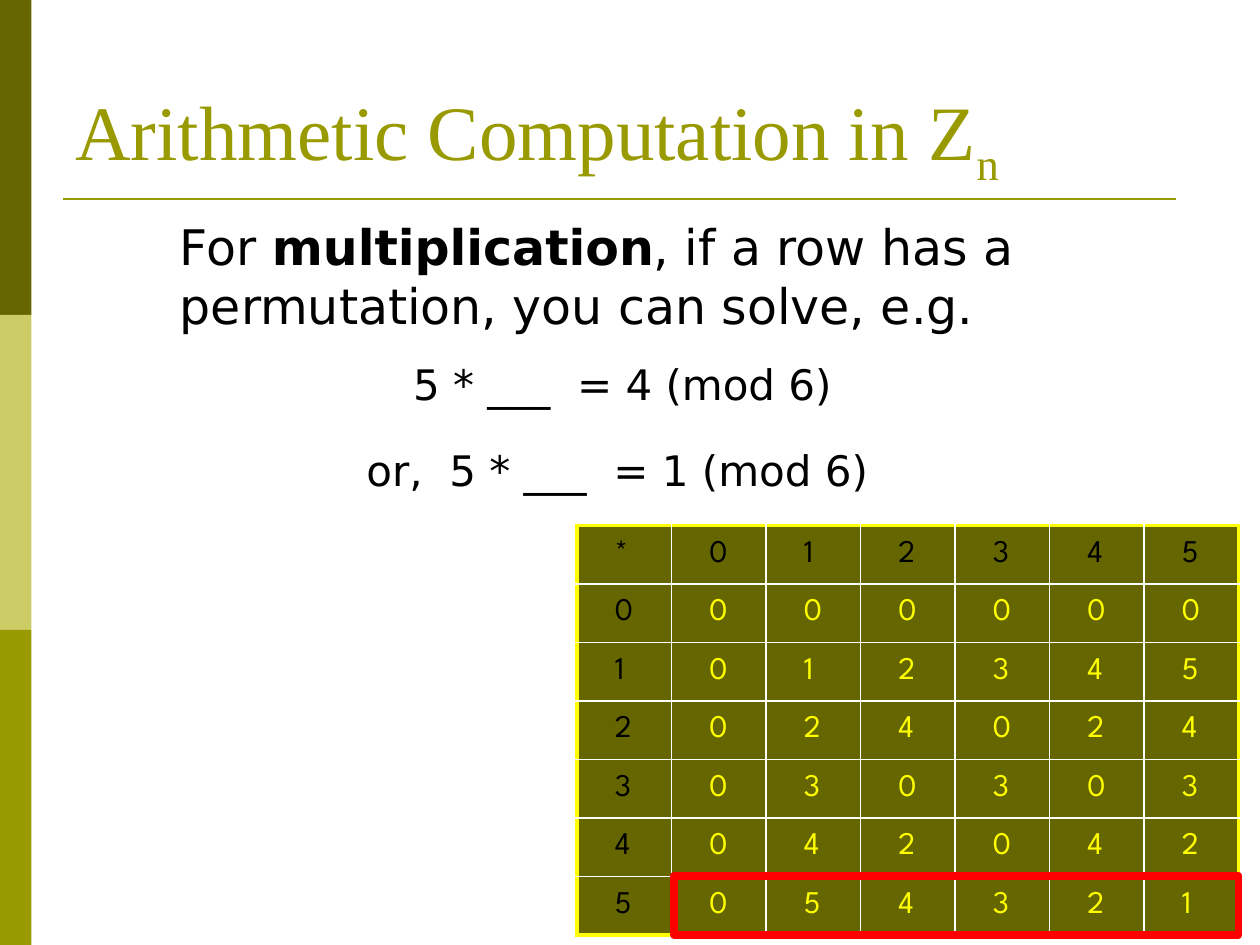
from lxml import etree
from pptx import Presentation
from pptx.dml.color import RGBColor
from pptx.enum.shapes import MSO_CONNECTOR, MSO_SHAPE
from pptx.enum.text import MSO_ANCHOR, MSO_AUTO_SIZE
from pptx.oxml.ns import qn
from pptx.util import Inches, Pt

RECTANGLE = MSO_SHAPE.RECTANGLE
STRAIGHT = MSO_CONNECTOR.STRAIGHT
MIDDLE, BOTTOM = MSO_ANCHOR.MIDDLE, MSO_ANCHOR.BOTTOM
GROW = MSO_AUTO_SIZE.SHAPE_TO_FIT_TEXT

DARK_OLIVE = RGBColor(0x66, 0x66, 0x00)
PALE_OLIVE = RGBColor(0xCC, 0xCC, 0x66)
OLIVE = RGBColor(0x99, 0x99, 0x00)
BLACK = RGBColor(0x00, 0x00, 0x00)
WHITE = RGBColor(0xFF, 0xFF, 0xFF)
YELLOW = RGBColor(0xFF, 0xFF, 0x00)
RED = RGBColor(0xFF, 0x00, 0x00)

MODULUS = 6


def set_font(paragraph, name, size, color):
    paragraph.font.name = name
    paragraph.font.size = Pt(size)
    paragraph.font.color.rgb = color


def add_space_before(paragraph, percent=20):
    properties = paragraph._p.get_or_add_pPr()
    spacing = etree.Element(qn("a:spcBef"))
    etree.SubElement(spacing, qn("a:spcPct"), val=str(percent * 1000))
    properties.insert(0, spacing)


def add_side_bands(slide, left, top, width, height):
    colors = (DARK_OLIVE, PALE_OLIVE, OLIVE)
    band_height = height / len(colors)
    for index, color in enumerate(colors):
        band = slide.shapes.add_shape(
            RECTANGLE, Inches(left), Inches(top + index * band_height),
            Inches(width), Inches(band_height))
        band.shadow.inherit = False
        band.fill.solid()
        band.fill.fore_color.rgb = color
        band.line.fill.background()


def add_title_rule(slide, left, top, width):
    rule = slide.shapes.add_connector(
        STRAIGHT, Inches(left), Inches(top), Inches(left + width), Inches(top))
    rule.line.color.rgb = OLIVE
    rule.line.width = Pt(1.5)
    etree.SubElement(rule._element.spPr, qn("a:effectLst"))


def add_title(slide, left, top, width, height):
    title = slide.shapes.add_textbox(
        Inches(left), Inches(top), Inches(width), Inches(height)).text_frame
    title.word_wrap = True
    title.vertical_anchor = BOTTOM
    heading = title.paragraphs[0]
    set_font(heading, "Times New Roman", 44, OLIVE)
    heading.add_run().text = "Arithmetic Computation in Z"
    subscript = heading.add_run()
    subscript.text = "n"
    subscript.font._element.set("baseline", "-25000")


def add_statement(slide, left, top, width, height, parts, size, wrap):
    statement = slide.shapes.add_textbox(
        Inches(left), Inches(top), Inches(width), Inches(height)).text_frame
    statement.word_wrap = wrap
    statement.auto_size = GROW
    paragraph = statement.paragraphs[0]
    set_font(paragraph, "DejaVu Sans", size, BLACK)
    add_space_before(paragraph)
    for text, bold in parts:
        run = paragraph.add_run()
        run.text = text
        if bold:
            run.font.bold = True


def set_border(cell, side, color, width):
    line = etree.SubElement(
        cell._tc.get_or_add_tcPr(), qn(f"a:ln{side}"), w=str(Pt(width)))
    fill = etree.SubElement(line, qn("a:solidFill"))
    etree.SubElement(fill, qn("a:srgbClr"), val=str(color))


def style_cell(cell, row, column, last):
    cell.margin_left = cell.margin_right = Inches(0.3)
    cell.margin_top = cell.margin_bottom = Inches(0.05)
    cell.vertical_anchor = MIDDLE
    outer_sides = {"L": column == 0, "R": column == last,
                   "T": row == 0, "B": row == last}
    for side, is_outer in outer_sides.items():
        set_border(cell, side, *((YELLOW, 2.25) if is_outer else (WHITE, 1)))
    cell.fill.solid()
    cell.fill.fore_color.rgb = DARK_OLIVE
    paragraph = cell.text_frame.paragraphs[0]
    is_header = row == 0 or column == 0
    set_font(paragraph, "League Spartan", 18, BLACK if is_header else YELLOW)
    add_space_before(paragraph)


def add_multiplication_table(slide, left, top, width, height):
    residues = range(MODULUS)
    rows = [["*", *residues]]
    rows += [[a, *(a * b % MODULUS for b in residues)] for a in residues]
    count = len(rows)
    table = slide.shapes.add_table(
        count, count, Inches(left), Inches(top), Inches(width), Inches(height)).table
    table.first_row = False
    table.horz_banding = False
    for column in table.columns:
        column.width = Inches(width / count)
    for row_index, values in enumerate(rows):
        table.rows[row_index].height = Inches(height / count)
        for column_index, value in enumerate(values):
            cell = table.cell(row_index, column_index)
            cell.text = str(value)
            style_cell(cell, row_index, column_index, MODULUS)


def add_row_highlight(slide, left, top, width, height):
    highlight = slide.shapes.add_shape(
        RECTANGLE, Inches(left), Inches(top), Inches(width), Inches(height))
    highlight.shadow.inherit = False
    highlight.fill.background()
    highlight.line.color.rgb = RED
    highlight.line.width = Pt(4.5)


def main():
    presentation = Presentation()
    presentation.slide_width = Inches(10)
    presentation.slide_height = Inches(7.5)
    slide = presentation.slides.add_slide(presentation.slide_layouts[6])
    add_side_bands(slide, 0, 0, 0.25, 7.5)
    add_title_rule(slide, 0.5, 1.58, 8.83)
    add_statement(slide, 1.33, 1.67, 8.46, 1.04, [
        ("For ", False),
        ("multiplication", True),
        (", if a row has a permutation, you can solve, e.g.", False),
    ], 28, True)
    add_statement(slide, 3.18, 2.8, 3.86, 0.5,
                  [("5 * ___  = 4 (mod 6)", False)], 24, False)
    add_multiplication_table(slide, 4.58, 4.17, 5.25, 3.25)
    add_statement(slide, 2.81, 3.48, 4.52, 0.5,
                  [("or,  5 * ___  = 1 (mod 6)", False)], 24, False)
    add_row_highlight(slide, 5.35, 6.95, 4.48, 0.47)
    add_title(slide, 0.5, 0.67, 9, 0.88)
    presentation.save("out.pptx")


if __name__ == "__main__":
    main()
